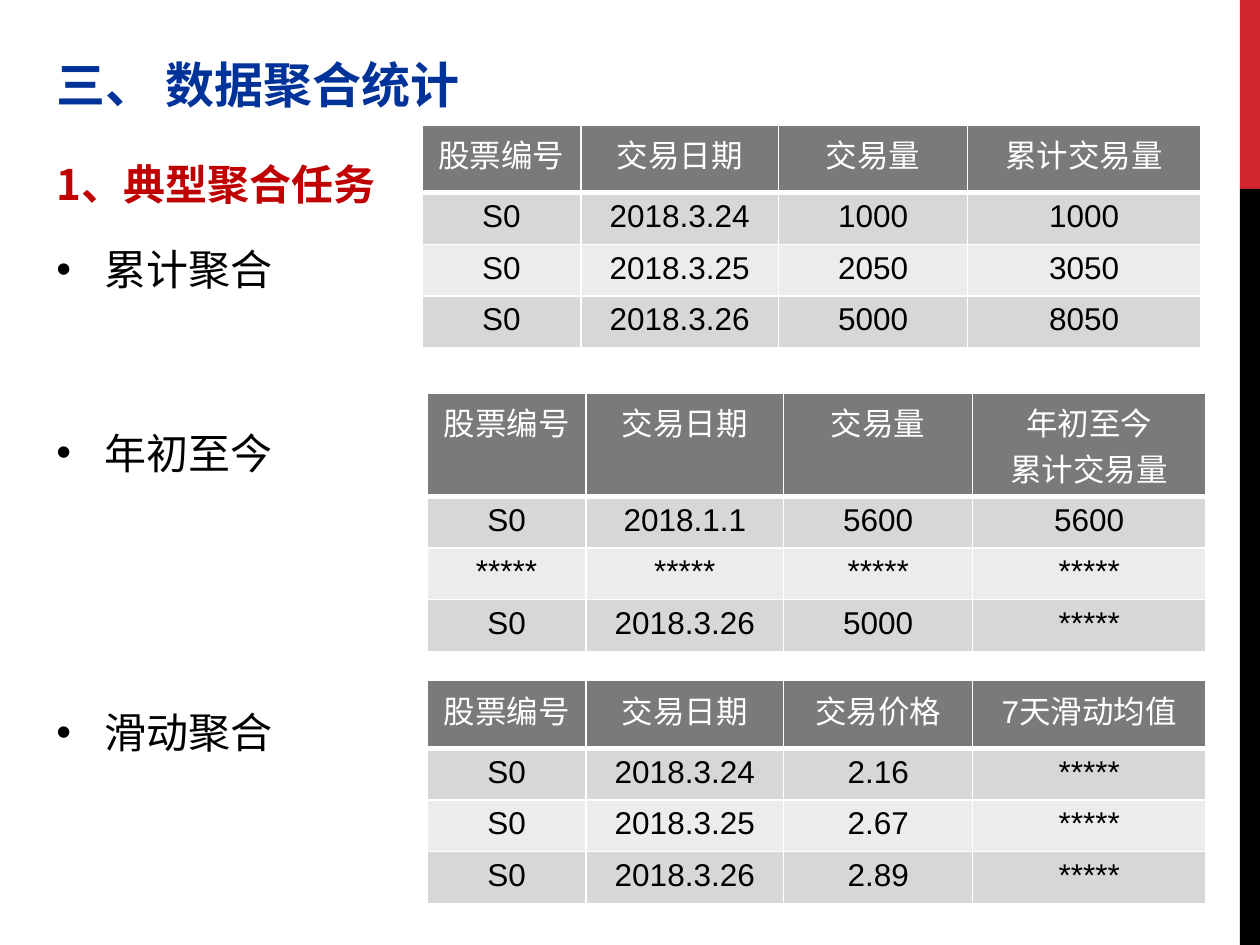
from dataclasses import dataclass

from lxml import etree
from pptx import Presentation
from pptx.dml.color import RGBColor
from pptx.enum.shapes import MSO_SHAPE
from pptx.enum.text import PP_ALIGN
from pptx.oxml.ns import qn
from pptx.util import Inches, Pt

RECTANGLE = MSO_SHAPE.RECTANGLE
CENTER = PP_ALIGN.CENTER


@dataclass(frozen=True)
class Theme:
    """Colours, fonts and type sizes of the slide."""
    title: str = "003399"
    heading: str = "C00000"
    text: str = "000000"
    light: str = "FFFFFF"
    accent: str = "D1282E"
    header: str = "7A7A7A"
    bands: tuple = ("D7D7D7", "ECECEC")
    latin: str = "Arial"
    chinese: str = "Noto Sans CJK SC"
    title_size: int = 28
    body_size: int = 24
    table_size: int = 18


THEME = Theme()
COLUMNS = (1.26, 1.57, 1.5, 1.85)
HEADER_ROW, TALL_HEADER_ROW, BODY_ROW = 0.54, 0.82, 0.41
INDENT = 0.38
OUTLINE = (
    ("三、 数据聚合统计", THEME.title_size, THEME.title, True, 0),
    ("1、典型聚合任务", THEME.body_size, THEME.heading, True, 26),
    ("累计聚合", THEME.body_size, THEME.text, False, 20),
    ("年初至今", THEME.body_size, THEME.text, False, 76),
    ("滑动聚合", THEME.body_size, THEME.text, False, 131),
)
TABLES = (
    (3.39, 5.4, HEADER_ROW, (
        ("股票编号", "交易日期", "交易价格", "7天滑动均值"),
        ("S0", "2018.3.24", "2.16", "*****"),
        ("S0", "2018.3.25", "2.67", "*****"),
        ("S0", "2018.3.26", "2.89", "*****"))),
    (3.35, 0.99, HEADER_ROW, (
        ("股票编号", "交易日期", "交易量", "累计交易量"),
        ("S0", "2018.3.24", "1000", "1000"),
        ("S0", "2018.3.25", "2050", "3050"),
        ("S0", "2018.3.26", "5000", "8050"))),
    (3.39, 3.12, TALL_HEADER_ROW, (
        ("股票编号", "交易日期", "交易量", "年初至今\n累计交易量"),
        ("S0", "2018.1.1", "5600", "5600"),
        ("*****", "*****", "*****", "*****"),
        ("S0", "2018.3.26", "5000", "*****"))),
)


def format_runs(paragraph, size, color, latin, bold=False):
    """Apply size, colour, weight and both fonts to every run."""
    for run in paragraph.runs:
        run.font.size = Pt(size)
        run.font.bold = bold
        run.font.color.rgb = RGBColor.from_string(color)
        run.font.name = latin
        etree.SubElement(run.font._element, qn("a:ea"), typeface=THEME.chinese)


def add_bullet(paragraph):
    """Give a paragraph a hanging round bullet."""
    properties = paragraph._p.get_or_add_pPr()
    properties.set("marL", str(Inches(INDENT)))
    properties.set("indent", str(-Inches(INDENT)))
    etree.SubElement(properties, qn("a:buFont"), typeface=THEME.latin)
    etree.SubElement(properties, qn("a:buChar"), char="•")


def add_side_band(slide, left, top, width, height):
    """Draw the edge band: the top fifth in accent, the rest dark."""
    split = height / 5
    for y, part, color in ((top, split, THEME.accent),
                           (top + split, height - split, THEME.text)):
        shape = slide.shapes.add_shape(
            RECTANGLE, Inches(left), Inches(y), Inches(width), Inches(part))
        shape.shadow.inherit = False
        shape.fill.solid()
        shape.fill.fore_color.rgb = RGBColor.from_string(color)
        shape.line.fill.background()


def add_outline(slide, left, top, width, height):
    """Place the title, the heading and the bulleted tasks."""
    shape = slide.shapes.add_textbox(
        Inches(left), Inches(top), Inches(width), Inches(height))
    frame = shape.text_frame
    frame.word_wrap = True
    frame.margin_top = Inches(0.22)
    frame.text = "\n".join(line[0] for line in OUTLINE)
    for paragraph, line in zip(frame.paragraphs, OUTLINE):
        _, size, color, bold, gap = line
        paragraph.space_before = Pt(gap)
        format_runs(paragraph, size, color, THEME.chinese, bold)
        if not bold:
            add_bullet(paragraph)


def style_cell(cell, row):
    """Set fill, borders and text of a cell by its row."""
    is_header = row == 0
    fill = THEME.header if is_header else THEME.bands[(row - 1) % 2]
    properties = cell._tc.get_or_add_tcPr()
    for side in ("lnL", "lnR", "lnT", "lnB"):
        weight = 3 if is_header and side == "lnB" else 1
        line = etree.SubElement(properties, qn("a:" + side), w=str(Pt(weight)))
        solid = etree.SubElement(line, qn("a:solidFill"))
        etree.SubElement(solid, qn("a:srgbClr"), val=THEME.light)
    cell.fill.solid()
    cell.fill.fore_color.rgb = RGBColor.from_string(fill)
    for paragraph in cell.text_frame.paragraphs:
        paragraph.alignment = CENTER
        format_runs(paragraph, THEME.table_size,
                    THEME.light if is_header else THEME.text, THEME.latin)


def add_data_table(slide, left, top, header_height, rows):
    """Place one table with a header and banded rows."""
    heights = [header_height] + [BODY_ROW] * (len(rows) - 1)
    table = slide.shapes.add_table(
        len(rows), len(COLUMNS), Inches(left), Inches(top),
        Inches(sum(COLUMNS)), Inches(sum(heights))).table
    for column, width in zip(table.columns, COLUMNS):
        column.width = Inches(width)
    for row, values in enumerate(rows):
        table.rows[row].height = Inches(heights[row])
        for column, value in enumerate(values):
            cell = table.cell(row, column)
            cell.text_frame.text = value
            style_cell(cell, row)


def build():
    """Build and save the slide."""
    presentation = Presentation()
    presentation.slide_width = Inches(10)
    presentation.slide_height = Inches(7.5)
    slide = presentation.slides.add_slide(presentation.slide_layouts[6])
    add_side_band(slide, 9.84, 0, 0.16, 7.5)
    add_outline(slide, 0.35, 0.21, 9.14, 6.85)
    for left, top, header_height, rows in TABLES:
        add_data_table(slide, left, top, header_height, rows)
    presentation.save("out.pptx")


build()
